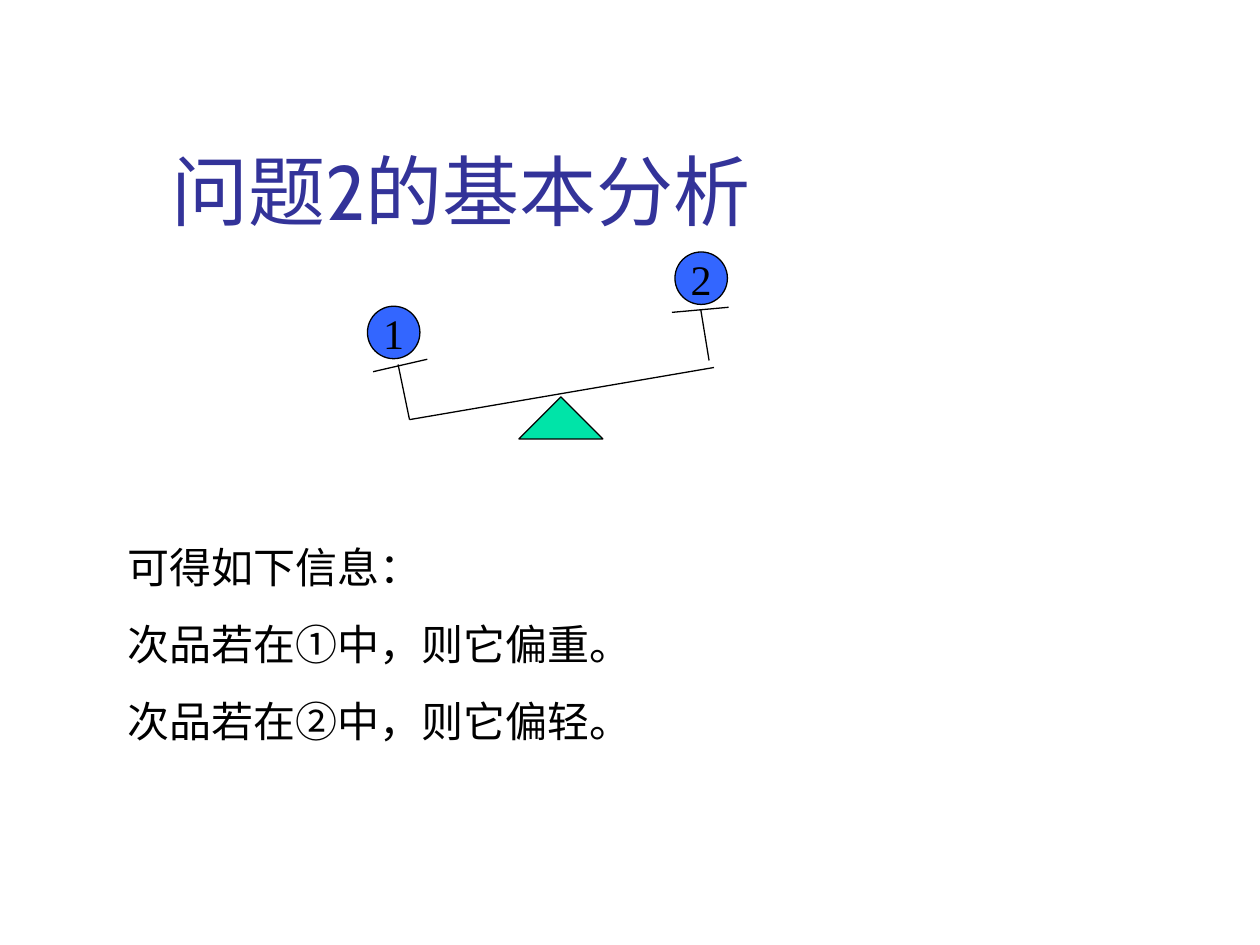
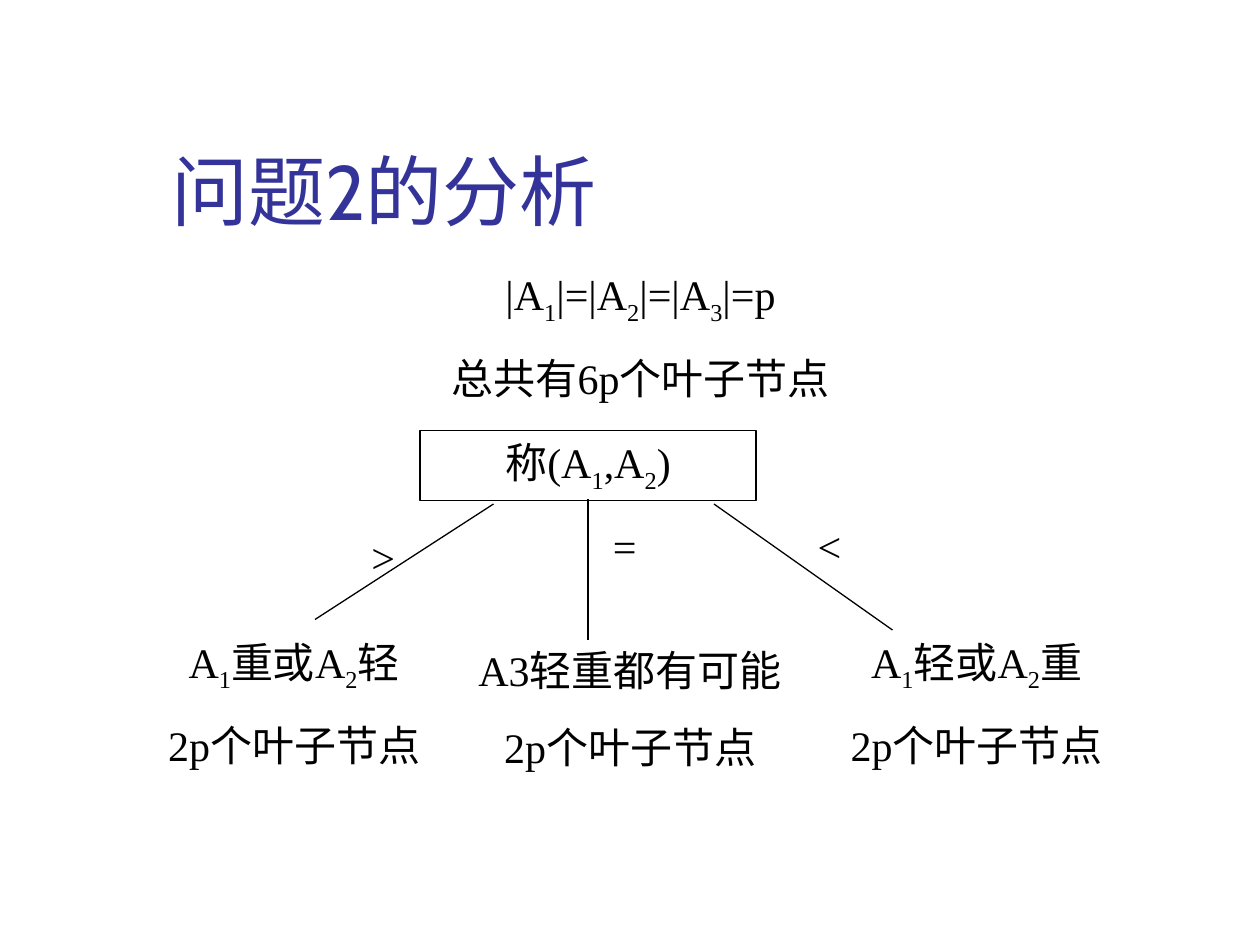
from lxml.etree import SubElement
from pptx import Presentation
from pptx.dml.color import RGBColor
from pptx.enum.shapes import MSO_CONNECTOR as LINK, MSO_SHAPE as KIND
from pptx.enum.text import MSO_ANCHOR as ANCHOR, MSO_AUTO_SIZE as AUTO, PP_ALIGN as ALIGN
from pptx.oxml.ns import qn
from pptx.util import Pt

INK, NAVY, BLUE, GREEN = "000000", "333399", "3366FF", "00E4A8"
SANS, SERIF = "Cabin", "Times New Roman"
TITLE = (90.7, 48.2, 613.4, 90)
FRAME = {
    "word_wrap": True,
    "auto_size": AUTO.NONE,
    "vertical_anchor": ANCHOR.TOP,
    "margin_left": Pt(7.2),
    "margin_right": Pt(7.2),
    "margin_top": Pt(3.6),
    "margin_bottom": Pt(3.6),
}


def color(code):
    return RGBColor.from_string(code)


def points(nums):
    return [Pt(num) for num in nums]


def apply(item, vals):
    for name, val in vals.items():
        setattr(item, name, val)


def add_run(para, text, low=False):
    if text:
        run = para.add_run()
        run.text = text
        if low:
            run._r.get_or_add_rPr().set("baseline", "-25000")


def write(frame, rows, face=SERIF, size=24, tint=INK, align=ALIGN.CENTER, **more):
    apply(frame, {**FRAME, **more})
    for i, row in enumerate(rows):
        para = frame.add_paragraph() if i else frame.paragraphs[0]
        head, *tails = row.split("_")
        add_run(para, head)
        for tail in tails:
            add_run(para, tail[0], True)
            add_run(para, tail[1:])
        apply(para, {"alignment": align, "space_before": Pt(15 if i else 0)})
        for run in para.runs:
            apply(run.font, {"name": face, "size": Pt(size), "bold": False})
            run.font.color.rgb = color(tint)


def add_page(deck, text):
    page = deck.slides.add_slide(deck.slide_layouts[5])
    title = page.shapes.title
    apply(title, dict(zip(("left", "top", "width", "height"), points(TITLE))))
    write(title.text_frame, [text], SANS, 44, NAVY, ALIGN.LEFT,
          vertical_anchor=ANCHOR.BOTTOM)
    return page.shapes


def add_text(page, box, rows, **style):
    write(page.add_textbox(*points(box)).text_frame, rows, **style)


def pen(line):
    line.color.rgb = color(INK)
    line.width = Pt(0.75)


def add_form(page, kind, box, fill=None):
    form = page.add_shape(kind, *points(box))
    form.shadow.inherit = False
    if fill:
        form.fill.solid()
        form.fill.fore_color.rgb = color(fill)
    else:
        form.fill.background()
    pen(form.line)
    return form


def add_line(page, *ends):
    link = page.add_connector(LINK.STRAIGHT, *points(ends))
    pen(link.line)
    SubElement(link._element.spPr, qn("a:effectLst"))


def add_ball(page, left, top, label):
    ball = add_form(page, KIND.OVAL, (left, top, 30, 30), BLUE)
    write(ball.text_frame, [label], word_wrap=False, vertical_anchor=ANCHOR.MIDDLE)


def draw_scale(deck):
    page = add_page(deck, "问题2的基本分析")
    add_form(page, KIND.ISOSCELES_TRIANGLE, (296.5, 226.8, 48, 24), GREEN)
    beam = (234, 239.8, 408, 210)
    arms = (234, 239.8, 227.5, 208.3), (405.2, 206, 400.5, 177.2)
    pans = (213.2, 212.4, 244.2, 205.3), (384, 178.5, 416.4, 175.6)
    for ends in (beam, *arms, *pans):
        add_line(page, *ends)
    add_ball(page, 210, 175, "1")
    add_ball(page, 385.7, 144, "2")
    facts = ["可得如下信息：", "次品若在①中，则它偏重。", "次品若在②中，则它偏轻。"]
    add_text(page, (66, 306, 606, 168), facts, face=SANS, align=ALIGN.LEFT)


def draw_tree(deck):
    page = add_page(deck, "问题2的分析")
    root = add_form(page, KIND.RECTANGLE, (240, 246, 192, 40))
    write(root.text_frame, ["称(A_1,A_2)"])
    add_text(page, (72, 150, 588, 84), ["|A_1|=|A_2|=|A_3|=p", "总共有6p个叶子节点"])
    cases = [
        (">", (174, 300, 90, 36), (282, 288, 180, 354),
         "A_1重或A_2轻", (84, 360, 168, 84)),
        ("=", (324, 294, 66, 36), (336, 285, 336, 366),
         "A3轻重都有可能", (258, 365, 204, 80)),
        ("<", (438, 294, 72, 36), (408, 288, 510, 360),
         "A_1轻或A_2重", (474, 360, 168, 84)),
    ]
    for sign, spot, ends, text, box in cases:
        add_line(page, *ends)
        add_text(page, spot, [sign])
        add_text(page, box, [text, "2p个叶子节点"])


def main():
    deck = Presentation()
    apply(deck, {"slide_width": Pt(720), "slide_height": Pt(540)})
    draw_scale(deck)
    draw_tree(deck)
    deck.save("out.pptx")


if __name__ == "__main__":
    main()
